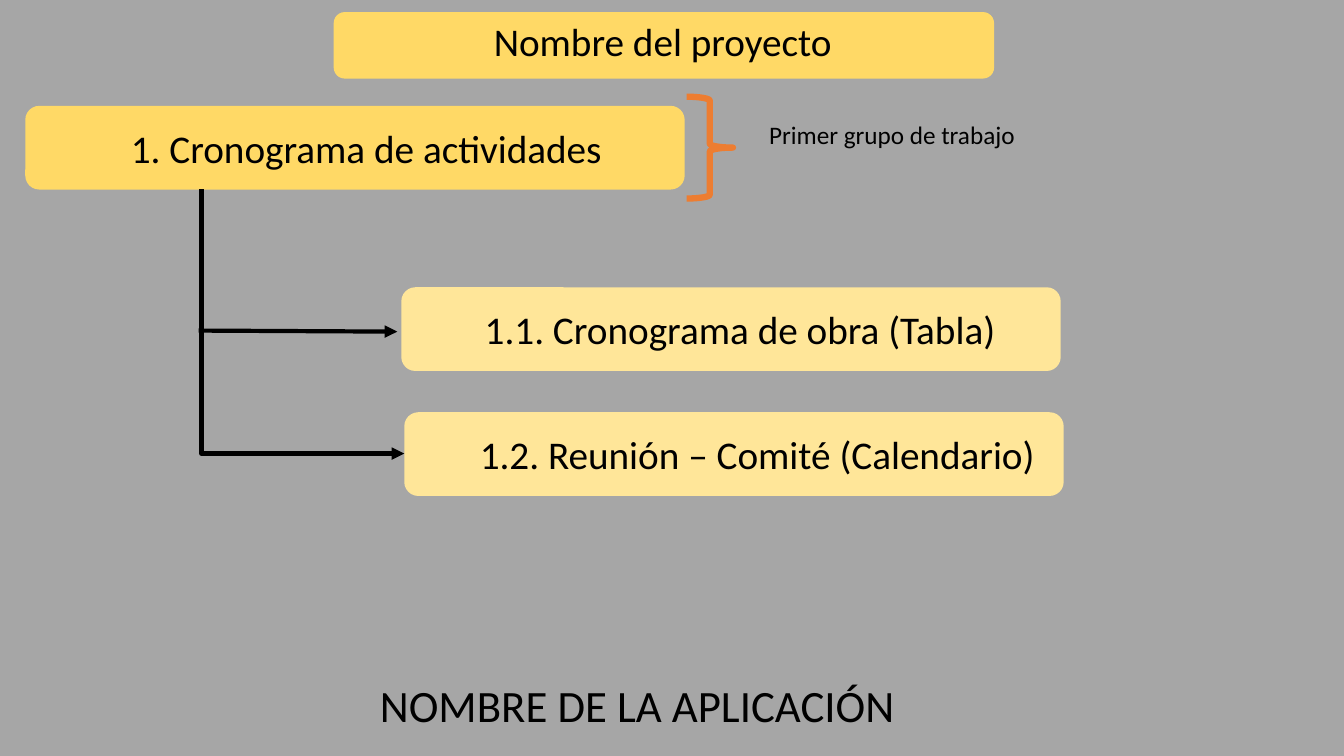
from pptx import Presentation
from pptx.dml.color import RGBColor
from pptx.enum.shapes import MSO_CONNECTOR, MSO_SHAPE
from pptx.oxml.ns import qn
from pptx.util import Inches, Pt
from lxml import etree

RECTANGLE = MSO_SHAPE.RECTANGLE
ROUNDED = MSO_SHAPE.ROUNDED_RECTANGLE
BRACE = MSO_SHAPE.RIGHT_BRACE
STRAIGHT = MSO_CONNECTOR.STRAIGHT
ELBOW = MSO_CONNECTOR.ELBOW

WIDTH, HEIGHT = Inches(13.33), Inches(7.5)
BLACK, GREY, ORANGE = "000000", "A6A6A6", "ED7D31"
GOLD, PALE_GOLD = "FFD966", "FFE699"
TASK_WIDTH, TASK_HEIGHT = 49.06, 11.07
LABEL_WIDTH, LABEL_HEIGHT, LABEL_DROP = 45.39, 7.6, 1.73


def color(hex_code):
    return RGBColor.from_string(hex_code)


def across(share):
    return round(WIDTH * share / 100)


def down(share):
    return round(HEIGHT * share / 100)


def area(left, top, width, height):
    return across(left), down(top), across(width), down(height)


def add_panel(slide, kind, place, fill):
    panel = slide.shapes.add_shape(kind, *area(*place))
    panel.shadow.inherit = False
    panel.fill.solid()
    panel.fill.fore_color.rgb = color(fill)
    panel.line.fill.background()


def add_brace(slide, place):
    brace = slide.shapes.add_shape(BRACE, *area(*place))
    brace.shadow.inherit = False
    brace.fill.background()
    brace.line.color.rgb = color(ORANGE)
    brace.line.width = Pt(4.5)


def add_text(slide, text, place, size=28, font="Calibri", fill=BLACK):
    frame = slide.shapes.add_textbox(*area(*place)).text_frame
    frame.word_wrap = True
    run = frame.paragraphs[0].add_run()
    run.text = text
    run.font.size = Pt(size)
    run.font.name = font
    run.font.color.rgb = color(fill)


def add_task(slide, text, left, top, label_left, fill):
    add_panel(slide, ROUNDED, (left, top, TASK_WIDTH, TASK_HEIGHT), fill)
    add_text(slide, text, (label_left, top + LABEL_DROP, LABEL_WIDTH, LABEL_HEIGHT))


def add_arrow(slide, kind, *ends):
    arrow = slide.shapes.add_connector(kind, *ends)
    arrow.line.color.rgb = color(BLACK)
    arrow.line.width = Pt(3)
    etree.SubElement(arrow.line._get_or_add_ln(), qn("a:tailEnd"), type="triangle")
    etree.SubElement(arrow._element.spPr, qn("a:effectLst"))
    return arrow


def add_branch(slide, left, top, right, bottom):
    x1, y1, x2, y2 = across(left), down(top), across(right), down(bottom)
    middle_x, middle_y = (x1 + x2) // 2, (y1 + y2) // 2
    half_run, half_drop = (x2 - x1) // 2, (y2 - y1) // 2
    branch = add_arrow(slide, ELBOW, middle_x + half_drop, middle_y - half_run,
                       middle_x - half_drop, middle_y + half_run)
    properties = branch._element.spPr
    properties.find(qn("a:xfrm")).set("rot", str(270 * 60000))
    properties.find(qn("a:prstGeom")).set("prst", "bentConnector2")


def main():
    deck = Presentation()
    deck.slide_width, deck.slide_height = WIDTH, HEIGHT
    slide = deck.slides.add_slide(deck.slide_layouts[6])

    add_panel(slide, RECTANGLE, (0, 0, 100, 100), GREY)
    add_panel(slide, ROUNDED, (24.83, 1.6, 49.14, 8.8), GOLD)
    add_text(slide, "Nombre del proyecto", (36, 1.6, 45.24, LABEL_HEIGHT))
    add_text(slide, "NOMBRE DE LA APLICACIÓN", (27.53, 88.93, 49.06, 8.53), size=32)

    add_task(slide, "1. Cronograma de actividades", 1.88, 14, 9, GOLD)
    add_brace(slide, (51.09, 12.8, 3.45, 13.47))
    add_text(slide, "Primer grupo de trabajo", (56.49, 15.07, 39, 5.33), size=18)

    add_task(slide, "1.1. Cronograma de obra (Tabla)", 29.86, 38, 35.33, PALE_GOLD)
    add_task(slide, "1.2. Reunión – Comité (Calendario)", 30.08, 54.53, 34.96, PALE_GOLD)
    add_branch(slide, 15, 25.07, 30.08, 60)
    add_arrow(slide, STRAIGHT, across(14.78), down(43.73), across(29.56), down(43.87))

    deck.save("out.pptx")


if __name__ == "__main__":
    main()
